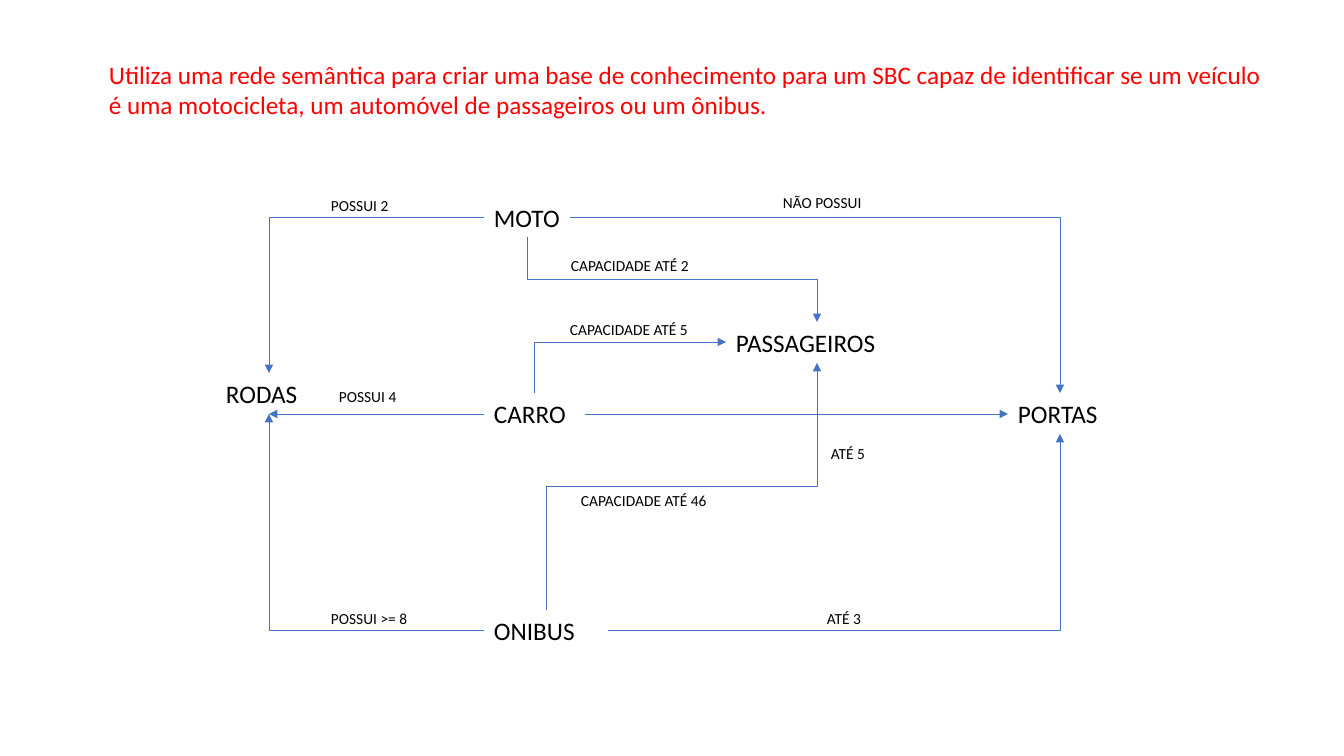
from pptx import Presentation
from pptx.dml.color import RGBColor
from pptx.enum.shapes import MSO_CONNECTOR
from pptx.enum.text import MSO_ANCHOR
from pptx.oxml.ns import qn
from pptx.util import Emu, Pt
from lxml.etree import SubElement

SCALE = 914400 / 100.8
BLACK = RGBColor(0x00, 0x00, 0x00)
RED = RGBColor(0xFF, 0x00, 0x00)
BLUE = RGBColor(0x44, 0x72, 0xC4)
FONT = "Calibri"
LINE_HEIGHT = 41

RODAS_X, PASSAGEIROS_X, PORTAS_X = 269, 817, 1060
VEHICLE_X = 484
MOTO_Y, CARRO_Y, ONIBUS_Y = 217, 414, 630

NODES = [
    ("MOTO", VEHICLE_X, 197, 86),
    ("CARRO", VEHICLE_X, 393, 101),
    ("ONIBUS", VEHICLE_X, 610, 124),
    ("RODAS", 216, 373, 106),
    ("PASSAGEIROS", 726, 322, 183),
    ("PORTAS", 1008, 393, 106),
]

LABELS = [
    ("POSSUI 2", 321, 182, 86),
    ("POSSUI 4", 329, 373, 86),
    ("POSSUI >= 8", 321, 595, 108),
    ("CAPACIDADE ATÉ 2", 561, 242, 144),
    ("CAPACIDADE ATÉ 5", 560, 306, 144),
    ("CAPACIDADE ATÉ 46", 571, 477, 166),
    ("NÃO POSSUI", 773, 179, 110),
    ("ATÉ 5", 821, 430, 86),
    ("ATÉ 3", 817, 595, 86),
]

STRAIGHT_LINKS = [
    ((VEHICLE_X, CARRO_Y), (RODAS_X, CARRO_Y)),
    ((585, CARRO_Y), (1008, CARRO_Y)),
]

SIDEWAYS_LINKS = [
    ((570, MOTO_Y), (PORTAS_X, 393)),
    ((VEHICLE_X, ONIBUS_Y), (RODAS_X, CARRO_Y)),
    ((VEHICLE_X, MOTO_Y), (RODAS_X, 373)),
    ((608, ONIBUS_Y), (PORTAS_X, 434)),
]

UPRIGHT_LINKS = [
    ((527, 237), (PASSAGEIROS_X, 322), "bentConnector3"),
    ((534, 393), (726, 342), "bentConnector2"),
    ((546, 610), (PASSAGEIROS_X, 363), "bentConnector3"),
]


def px(length):
    return Emu(round(length * SCALE))


def add_text(page, text, left, top, width, height, size, color):
    box = page.shapes.add_textbox(px(left), px(top), px(width), px(height))
    frame = box.text_frame
    frame.word_wrap = True
    frame.text = text
    font = frame.paragraphs[0].runs[0].font
    font.name = FONT
    font.size = Pt(size)
    font.color.rgb = color
    return frame


def add_node(page, text, left, top, width):
    add_text(page, text, left, top, width, LINE_HEIGHT, 18, BLACK)


def add_label(page, text, left, top, width):
    frame = add_text(page, text, left, top, width, LINE_HEIGHT, 11, BLACK)
    frame.vertical_anchor = MSO_ANCHOR.BOTTOM
    frame.margin_bottom = px(8)


def add_arrow(page, kind, start, end):
    arrow = page.shapes.add_connector(kind, *map(px, start + end))
    arrow.line.color.rgb = BLUE
    arrow.line.width = Pt(0.5)
    properties = arrow._element.spPr
    SubElement(properties.find(qn("a:ln")), qn("a:tailEnd"), type="triangle")
    SubElement(properties, qn("a:effectLst"))
    return arrow


def set_bend(arrow, preset):
    arrow._element.spPr.find(qn("a:prstGeom")).set("prst", preset)


def add_sideways_arrow(page, start, end):
    arrow = add_arrow(page, MSO_CONNECTOR.ELBOW, start, end)
    set_bend(arrow, "bentConnector2")


def add_upright_arrow(page, start, end, preset):
    middle_x, middle_y = (start[0] + end[0]) / 2, (start[1] + end[1]) / 2
    half_x, half_y = (end[0] - start[0]) / 2, (end[1] - start[1]) / 2
    turned_start = (middle_x - half_y, middle_y + half_x)
    turned_end = (middle_x + half_y, middle_y - half_x)
    arrow = add_arrow(page, MSO_CONNECTOR.ELBOW, turned_start, turned_end)
    set_bend(arrow, preset)
    arrow._element.spPr.find(qn("a:xfrm")).set("rot", "5400000")


def main():
    deck = Presentation()
    deck.slide_width = px(1344)
    deck.slide_height = px(756)
    page = deck.slides.add_slide(deck.slide_layouts[6])
    for node in NODES:
        add_node(page, *node)
    for label in LABELS:
        add_label(page, *label)
    for link in STRAIGHT_LINKS:
        add_arrow(page, MSO_CONNECTOR.STRAIGHT, *link)
    for link in SIDEWAYS_LINKS:
        add_sideways_arrow(page, *link)
    for link in UPRIGHT_LINKS:
        add_upright_arrow(page, *link)
    add_text(
        page,
        "Utiliza uma rede semântica para criar uma base de conhecimento "
        "para um SBC capaz de identificar se um veículo é uma motocicleta, "
        "um automóvel de passageiros ou um ônibus.",
        99, 54, 1183, 72, 18, RED,
    )
    deck.save("out.pptx")


main()
